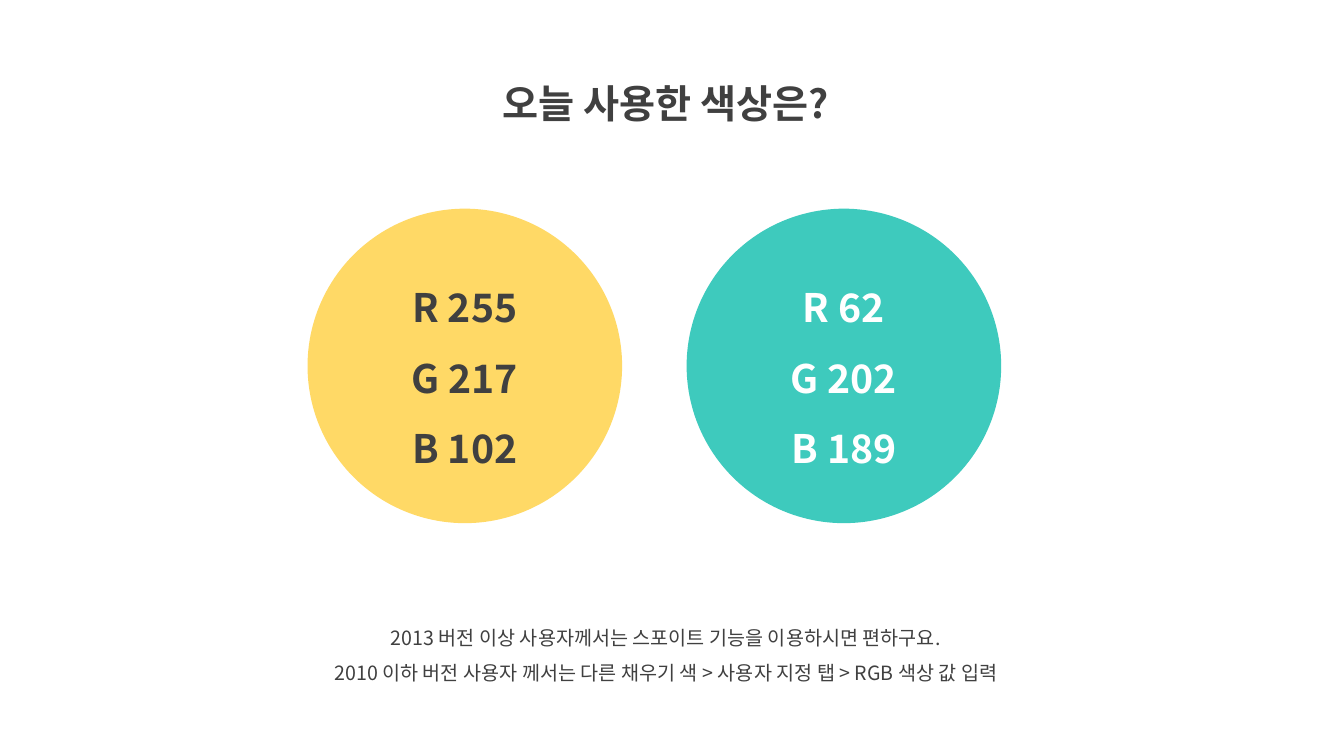
from lxml.etree import SubElement
from pptx import Presentation
from pptx.dml.color import RGBColor
from pptx.enum.shapes import MSO_SHAPE
from pptx.enum.text import MSO_ANCHOR, MSO_AUTO_SIZE, PP_ALIGN
from pptx.oxml.ns import qn
from pptx.util import Inches, Pt

FONT = "Noto Sans CJK KR"
CHARCOAL = RGBColor(0x40, 0x40, 0x40)
WHITE = RGBColor(0xFF, 0xFF, 0xFF)
YELLOW = RGBColor(0xFF, 0xD9, 0x66)
TEAL = RGBColor(0x3E, 0xCA, 0xBD)

SLIDE_WIDTH, SLIDE_HEIGHT = 13.33, 7.5
TITLE_BOX = (4.29, 0.5, 4.63, 0.72)
SWATCHES_BOX = (3.05, 2.07, 6.88, 3.12)
GUIDE_BOX = (2.61, 6.04, 7.99, 0.81)

TITLE = "오늘 사용한 색상은?"
SWATCHES = [
    (YELLOW, CHARCOAL, ["R 255", "G 217", "B 102"]),
    (TEAL, WHITE, ["R 62", "G 202", "B 189"]),
]
GUIDE = [
    "2013 버전 이상 사용자께서는 스포이트 기능을 이용하시면 편하구요.",
    "2010 이하 버전 사용자 께서는 다른 채우기 색 > 사용자 지정 탭 > RGB 색상 값 입력",
]


def write_lines(frame, lines, size, color, bold):
    frame.word_wrap = True
    for index, line in enumerate(lines):
        paragraph = frame.paragraphs[0] if index == 0 else frame.add_paragraph()
        paragraph.alignment = PP_ALIGN.CENTER
        paragraph.line_spacing = 1.5
        run = paragraph.add_run()
        run.text = line
        run.font.size = Pt(size)
        run.font.bold = bold
        run.font.color.rgb = color
        run.font.name = FONT
        SubElement(run.font._element, qn("a:ea")).set("typeface", FONT)


def add_caption(slide, box, lines, size, bold=False):
    caption = slide.shapes.add_textbox(*map(Inches, box))
    write_lines(caption.text_frame, lines, size, CHARCOAL, bold)
    caption.text_frame.auto_size = MSO_AUTO_SIZE.SHAPE_TO_FIT_TEXT


def add_swatches(slide, box, swatches):
    left, top, width, diameter = box
    step = (width - diameter) / (len(swatches) - 1)
    for index, (fill, text_color, channels) in enumerate(swatches):
        circle = slide.shapes.add_shape(
            MSO_SHAPE.OVAL, Inches(left + index * step), Inches(top),
            Inches(diameter), Inches(diameter))
        circle.shadow.inherit = False
        circle.fill.solid()
        circle.fill.fore_color.rgb = fill
        circle.line.fill.background()
        circle.text_frame.vertical_anchor = MSO_ANCHOR.MIDDLE
        write_lines(circle.text_frame, channels, 28, text_color, True)


def main():
    presentation = Presentation()
    presentation.slide_width = Inches(SLIDE_WIDTH)
    presentation.slide_height = Inches(SLIDE_HEIGHT)
    slide = presentation.slides.add_slide(presentation.slide_layouts[6])
    slide.background.fill.solid()
    slide.background.fill.fore_color.rgb = WHITE
    add_caption(slide, TITLE_BOX, [TITLE], 28, bold=True)
    add_caption(slide, GUIDE_BOX, GUIDE, 14)
    add_swatches(slide, SWATCHES_BOX, SWATCHES)
    presentation.save("out.pptx")


if __name__ == "__main__":
    main()
